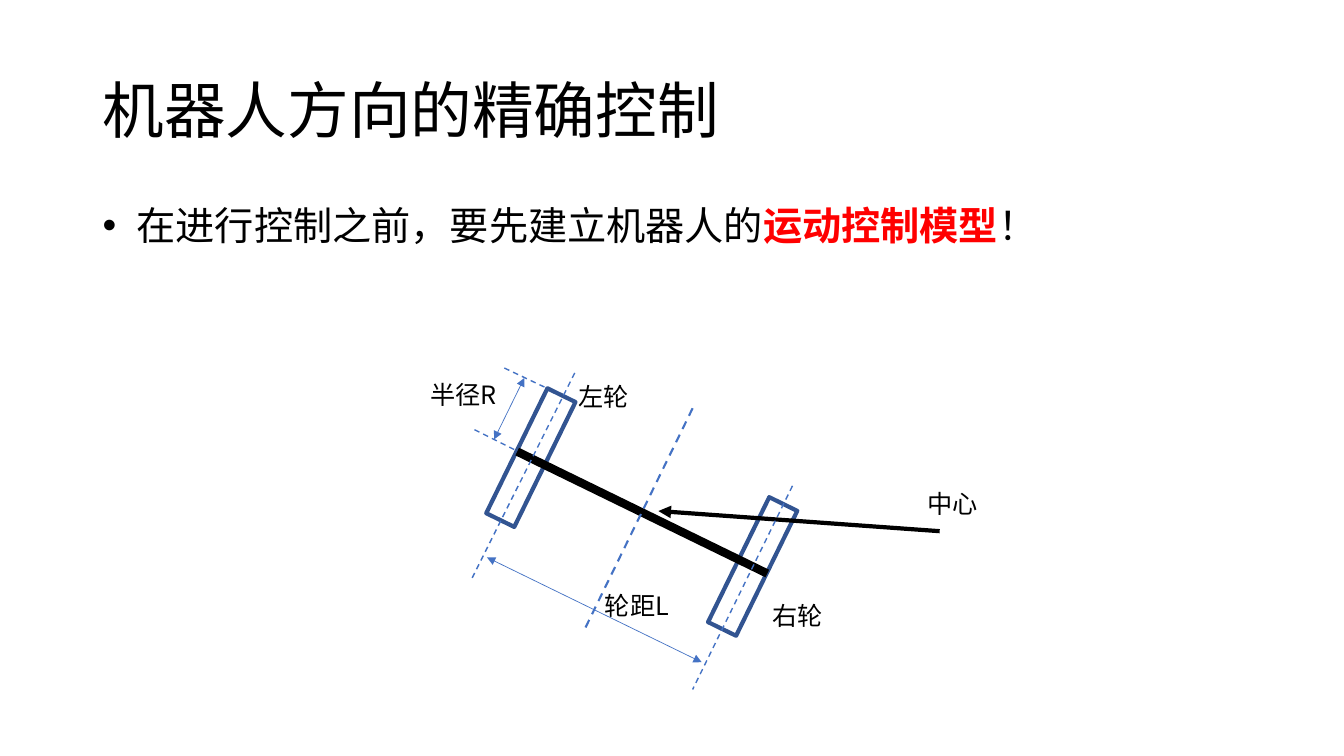
from lxml.etree import SubElement
from pptx import Presentation
from pptx.dml.color import RGBColor
from pptx.enum.dml import MSO_LINE
from pptx.enum.shapes import MSO_CONNECTOR, MSO_SHAPE
from pptx.enum.text import MSO_ANCHOR
from pptx.oxml.ns import qn
from pptx.util import Inches, Pt

BLACK, RED, BLUE, NAVY = "000000", "FF0000", "4472C4", "325491"


def color(code):
    return RGBColor.from_string(code)


class Sketch:
    """Draws styled elements on one slide, placed on a grid of tenth-inch cells."""

    font = "Noto Sans CJK SC"
    cell = Inches(0.1)

    def __init__(self, slide):
        self.slide = slide

    def grid(self, *cells):
        return [round(count * self.cell) for count in cells]

    def text(self, area, spans, size, anchor=MSO_ANCHOR.TOP, spacing=1):
        box = self.slide.shapes.add_textbox(*self.grid(*area))
        frame = box.text_frame
        frame.word_wrap = True
        frame.vertical_anchor = anchor
        para = frame.paragraphs[0]
        para.line_spacing = spacing
        for words, code, bold in spans:
            span = para.add_run()
            span.text = words
            span.font.size = Pt(size)
            span.font.bold = bold
            span.font.color.rgb = color(code)
            span.font.name = self.font
            SubElement(span.font._element, qn("a:ea"), typeface=self.font)
        return para

    def bullet(self, area, spans, size):
        para = self.text(area, spans, size, spacing=0.9)
        para.space_before = Pt(10)
        properties = para._p.get_or_add_pPr()
        properties.set("marL", str(Inches(0.25)))
        properties.set("indent", str(-Inches(0.25)))
        SubElement(properties, qn("a:buFont"), typeface="Arial")
        SubElement(properties, qn("a:buChar"), char="•")

    def wheel(self, area, angle):
        wheel = self.slide.shapes.add_shape(MSO_SHAPE.RECTANGLE, *self.grid(*area))
        wheel.rotation = angle
        wheel.shadow.inherit = False
        wheel.fill.background()
        wheel.line.color.rgb = color(NAVY)
        wheel.line.width = Pt(3)

    def line(self, ends, code, width, dashed=False, arrows=()):
        line = self.slide.shapes.add_connector(MSO_CONNECTOR.STRAIGHT, *self.grid(*ends))
        line.line.color.rgb = color(code)
        line.line.width = Pt(width)
        if dashed:
            line.line.dash_style = MSO_LINE.DASH
        for arrow in arrows:
            SubElement(line.line._get_or_add_ln(), qn(f"a:{arrow}"), type="triangle")
        SubElement(line._element.spPr, qn("a:effectLst"))


def main():
    deck = Presentation()
    deck.slide_width, deck.slide_height = Inches(13.33), Inches(7.5)
    sketch = Sketch(deck.slides.add_slide(deck.slide_layouts[6]))

    sketch.text((9.2, 4, 115, 14.5), [("机器人方向的精确控制", BLACK, False)], 44,
                MSO_ANCHOR.MIDDLE, 0.9)
    sketch.bullet((9.2, 20, 115, 47.6), [
        (" 在进行控制之前，要先建立机器人的", BLACK, False),
        ("运动控制模型", RED, True),
        ("！", BLACK, False),
    ], 28)

    for left, top in ((51.1, 38.5), (73.1, 49.3)):
        sketch.wheel((left, top, 3.1, 13.8), 26.1)

    both_ends = ("headEnd", "tailEnd")
    sketch.line((51.3, 44.8, 76.1, 56.9), BLACK, 6)
    sketch.line((68.7, 40.5, 58, 62.4), BLUE, 1.5, dashed=True)
    sketch.line((93.2, 52.7, 65.3, 50.7), BLACK, 3, arrows=("tailEnd",))
    for guide in (
        (57, 37, 46.7, 57.6),
        (78.6, 48.2, 68.7, 68.4),
        (54, 38.4, 50, 36.5),
        (51, 44.6, 47, 42.6),
    ):
        sketch.line(guide, BLUE, 1, dashed=True)
    for dimension in ((48.3, 55.3, 69.6, 65.7), (52, 37.5, 49, 43.6)):
        sketch.line(dimension, BLUE, 0.5, arrows=both_ends)

    for words, left, top, width in (
        ("左轮", 56.4, 37.3, 7.2),
        ("右轮", 75.6, 59.1, 7.2),
        ("中心", 91, 48, 8.9),
        ("轮距L", 59, 58.1, 9.2),
        ("半径R", 41.7, 37.1, 9.2),
    ):
        sketch.text((left, top, width, 4), [(words, BLACK, False)], 18)

    deck.save("out.pptx")


if __name__ == "__main__":
    main()
